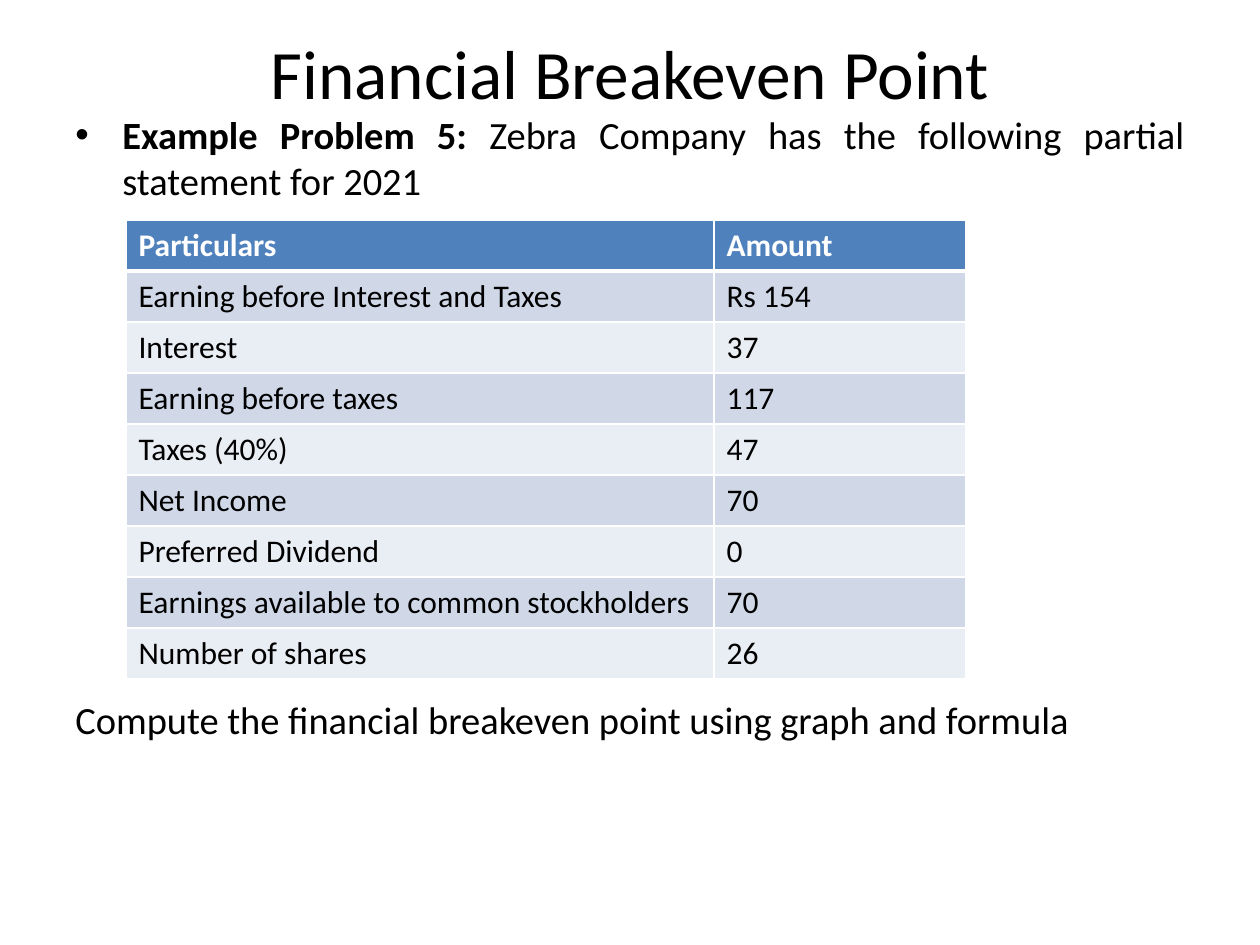
"""Build the Financial Breakeven Point slide with its partial income statement."""
from dataclasses import dataclass

from lxml import etree
from pptx import Presentation
from pptx import util as u
from pptx.dml.color import RGBColor
from pptx.enum import text
from pptx.oxml.ns import qn

TITLE = [("Financial Breakeven Point", False)]
PROBLEM = [
    ("Example Problem 5: ", True),
    ("Zebra Company has the following partial statement for 2021", False),
]
TASK = [("Compute the financial breakeven point using graph and formula", False)]
ROWS = [
    ("Particulars", "Amount"),
    ("Earning before Interest and Taxes", "Rs 154"),
    ("Interest", "37"),
    ("Earning before taxes", "117"),
    ("Taxes (40%)", "47"),
    ("Net Income", "70"),
    ("Preferred Dividend", "0"),
    ("Earnings available to common stockholders", "70"),
    ("Number of shares", "26"),
]


@dataclass(frozen=True)
class Theme:
    font: str = "Calibri"
    ink: str = "000000"
    white: str = "FFFFFF"
    header: str = "4F81BD"
    bands: tuple = ("E9EDF4", "D0D8E8")
    title: float = 39.6
    body: int = 22
    table: int = 18
    rule: int = 1
    header_rule: int = 3


THEME = Theme()
SLIDE = (1260, 945)
MARGIN, CONTENT_W = 63, 1134
TITLE_Y, TITLE_H = 38, 67
PROBLEM_Y, PROBLEM_H = 105, 106
TASK_Y, TASK_H = 690, 60
TABLE_X, TABLE_Y = 126, 220
COLUMNS = (588, 252)
ROW_H = 51
HANGING = 47


def px(n):
    return u.Emu(round(n * 914400 / 126))


def write(tf, runs, size, color=THEME.ink, align=text.PP_ALIGN.LEFT, bullet=False):
    p = tf.paragraphs[0]
    p.alignment = align
    for content, bold in runs:
        r = p.add_run()
        r.text = content
        r.font.name, r.font.size, r.font.bold = THEME.font, u.Pt(size), bold
        r.font.color.rgb = RGBColor.from_string(color)
    if bullet:
        props = p._p.get_or_add_pPr()
        props.set("marL", str(px(HANGING)))
        props.set("indent", str(-px(HANGING)))
        etree.SubElement(props, qn("a:buFont"), typeface="Arial")
        etree.SubElement(props, qn("a:buChar"), char="•")


def add_text(s, top, height, runs, size, anchor=text.MSO_ANCHOR.TOP, **fmt):
    tf = s.shapes.add_textbox(px(MARGIN), px(top), px(CONTENT_W), px(height)).text_frame
    tf.word_wrap = True
    tf.vertical_anchor = anchor
    write(tf, runs, size, **fmt)


def add_borders(cell, row):
    top = THEME.header_rule if row == 1 else THEME.rule
    bottom = THEME.header_rule if row == 0 else THEME.rule
    widths = {"lnL": THEME.rule, "lnR": THEME.rule, "lnT": top, "lnB": bottom}
    props = cell._tc.get_or_add_tcPr()
    for side, width in widths.items():
        line = etree.SubElement(props, qn(f"a:{side}"), w=str(u.Pt(width)))
        fill = etree.SubElement(line, qn("a:solidFill"))
        etree.SubElement(fill, qn("a:srgbClr"), val=THEME.white)


def add_statement(s):
    frame = s.shapes.add_table(
        len(ROWS), len(COLUMNS), px(TABLE_X), px(TABLE_Y),
        px(sum(COLUMNS)), px(ROW_H * len(ROWS)),
    )
    table = frame.table
    for column, width in zip(table.columns, COLUMNS):
        column.width = px(width)
    for i, values in enumerate(ROWS):
        table.rows[i].height = px(ROW_H)
        header = i == 0
        fill = THEME.header if header else THEME.bands[i % 2]
        color = THEME.white if header else THEME.ink
        for j, value in enumerate(values):
            cell = table.cell(i, j)
            add_borders(cell, i)
            cell.fill.solid()
            cell.fill.fore_color.rgb = RGBColor.from_string(fill)
            write(cell.text_frame, [(value, header)], THEME.table, color=color)


def main():
    prs = Presentation()
    prs.slide_width, prs.slide_height = map(px, SLIDE)
    s = prs.slides.add_slide(prs.slide_layouts[6])
    add_text(s, TITLE_Y, TITLE_H, TITLE, THEME.title,
             anchor=text.MSO_ANCHOR.MIDDLE, align=text.PP_ALIGN.CENTER)
    add_text(s, PROBLEM_Y, PROBLEM_H, PROBLEM, THEME.body,
             align=text.PP_ALIGN.JUSTIFY, bullet=True)
    add_text(s, TASK_Y, TASK_H, TASK, THEME.body, align=text.PP_ALIGN.JUSTIFY)
    add_statement(s)
    prs.save("out.pptx")


if __name__ == "__main__":
    main()
